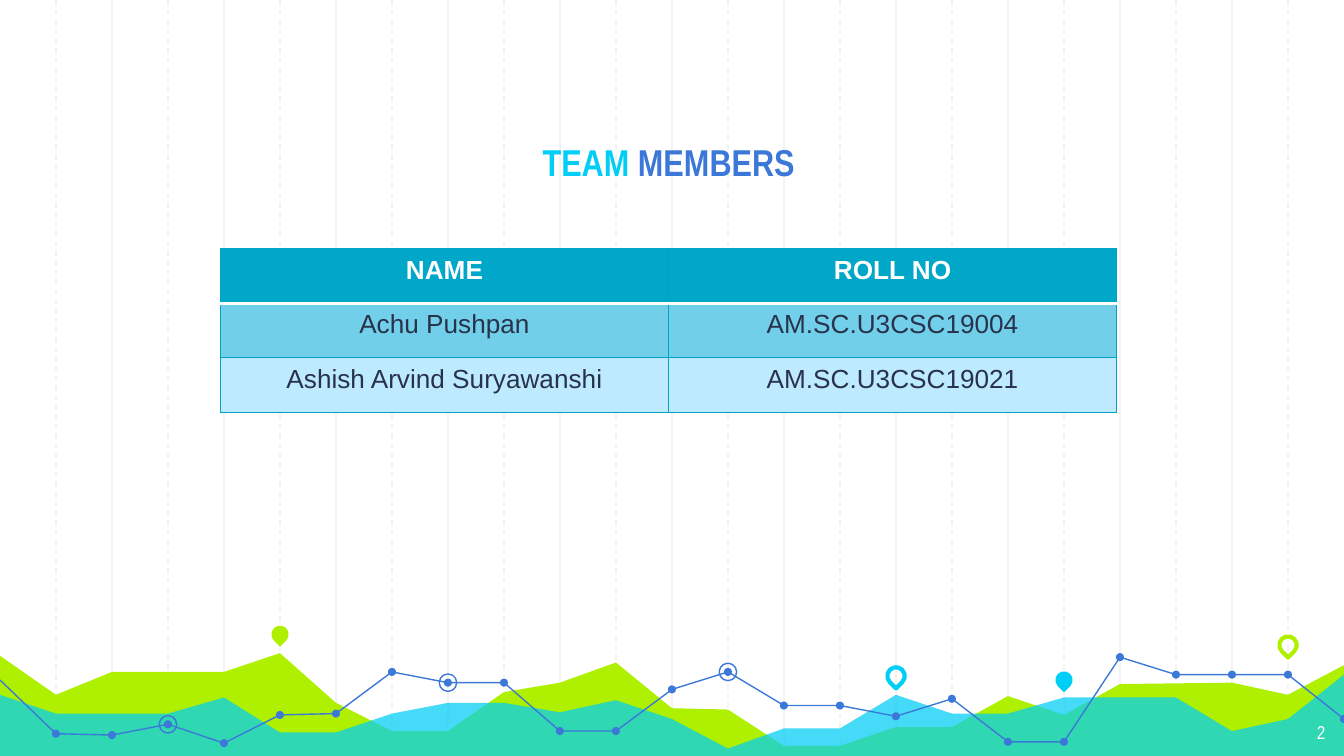
from dataclasses import dataclass
from typing import Optional

from lxml import etree
from pptx import Presentation
from pptx.dml.color import RGBColor
from pptx.enum.dml import MSO_LINE
from pptx.enum.shapes import MSO_CONNECTOR, MSO_SHAPE
from pptx.enum.text import MSO_ANCHOR, PP_ALIGN
from pptx.oxml.ns import qn
from pptx.util import Inches, Pt

STRAIGHT = MSO_CONNECTOR.STRAIGHT
OVAL, TEARDROP = MSO_SHAPE.OVAL, MSO_SHAPE.TEAR
DASH = MSO_LINE.DASH
BOTTOM = MSO_ANCHOR.BOTTOM
CENTER, RIGHT = PP_ALIGN.CENTER, PP_ALIGN.RIGHT

WHITE = RGBColor(0xFF, 0xFF, 0xFF)
GRID_GRAY = RGBColor(0xF3, 0xF3, 0xF3)
LIME = RGBColor(0xAF, 0xF0, 0x00)
CYAN = RGBColor(0x00, 0xCE, 0xF6)
BLUE = RGBColor(0x3C, 0x78, 0xD8)
INK = RGBColor(0x28, 0x32, 0x4A)
HEADER_TEAL = RGBColor(0x00, 0xA7, 0xC8)
BORDER_TEAL = RGBColor(0x00, 0xA3, 0xC4)
MID_TEAL = RGBColor(0x71, 0xCF, 0xE9)
PALE_TEAL = RGBColor(0xBD, 0xEA, 0xFF)

WIDTH = 10
HEIGHT = WIDTH * 9 / 16
COLUMNS = 24
STEP = WIDTH / COLUMNS
DOT, MARKER = 0.06, 0.13


@dataclass(frozen=True)
class Area:
    color: RGBColor
    heights: dict[int, float]
    opacity: Optional[int] = None


@dataclass(frozen=True)
class Pin:
    column: int
    y: float
    color: RGBColor
    hollow: bool


@dataclass(frozen=True)
class Row:
    texts: tuple[str, str]
    fill: RGBColor
    color: RGBColor
    bold: bool
    top: tuple[RGBColor, float]
    bottom: tuple[RGBColor, float]


AREAS = [
    Area(LIME, {0: 4.88, 1: 5.17, 2: 5, 4: 5, 5: 4.86, 6: 5.23, 7: 5.44, 8: 5.44,
                9: 5.15, 10: 5.08, 11: 4.93, 12: 5.27, 13: 5.28, 14: 5.55, 15: 5.55,
                16: 5.41, 17: 5.41, 18: 5.18, 19: 5.32, 20: 5.09, 22: 5.08,
                23: 5.17, 24: 4.95}),
    Area(CYAN, {0: 5.17, 1: 5.31, 3: 5.31, 4: 5.19, 5: 5.45, 6: 5.45, 7: 5.31,
                8: 5.23, 9: 5.23, 10: 5.3, 11: 5.21, 12: 5.35, 13: 5.57, 14: 5.42,
                15: 5.42, 16: 5.17, 17: 5.31, 18: 5.31, 19: 5.19, 21: 5.19,
                22: 5.44, 23: 5.35, 24: 5.02}, 73),
]
TREND = [5.06, 5.46, 5.47, 5.39, 5.53, 5.32, 5.31, 5, 5.08, 5.08, 5.44, 5.44, 5.13,
         5, 5.25, 5.25, 5.33, 5.2, 5.52, 5.52, 4.89, 5.02, 5.02, 5.02, 5.35]
TREND_BREAKS = [0, 11, 20, 24]
RINGED_COLUMNS = [3, 8, 13]
PINS = [
    Pin(5, 4.72, LIME, False),
    Pin(16, 5.03, CYAN, True),
    Pin(19, 5.06, CYAN, False),
    Pin(23, 4.8, LIME, True),
]
THIN = (BORDER_TEAL, 0.75)
THICK = (WHITE, 2)
ROWS = [
    Row(("NAME", "ROLL NO"), HEADER_TEAL, WHITE, True, THIN, THICK),
    Row(("Achu Pushpan", "AM.SC.U3CSC19004"), MID_TEAL, INK, False, THICK, THIN),
    Row(("Ashish Arvind Suryawanshi", "AM.SC.U3CSC19021"), PALE_TEAL, INK, False,
        THIN, THIN),
]


def draw_gridline(shapes, column: int) -> None:
    x = Inches(column * STEP)
    gridline = shapes.add_connector(STRAIGHT, x, 0, x, Inches(HEIGHT))
    gridline.line.color.rgb = GRID_GRAY
    gridline.line.width = Pt(0.75)
    if column % 2:
        gridline.line.dash_style = DASH
    etree.SubElement(gridline._element.spPr, qn("a:effectLst"))


def draw_outline(shapes, points: list[tuple[float, float]], close: bool):
    corners = [(Inches(x), Inches(y)) for x, y in points]
    builder = shapes.build_freeform(*corners[0])
    builder.add_line_segments(corners[1:], close=close)
    outline = builder.convert_to_shape()
    outline.shadow.inherit = False
    return outline


def draw_area(shapes, area: Area) -> None:
    ridge = [(column * STEP, y) for column, y in area.heights.items()]
    shape = draw_outline(shapes, ridge + [(WIDTH, HEIGHT), (0, HEIGHT)], True)
    shape.fill.solid()
    shape.fill.fore_color.rgb = area.color
    shape.line.fill.background()
    if area.opacity is not None:
        color = shape._element.spPr.find(qn("a:solidFill"))[0]
        etree.SubElement(color, qn("a:alpha"), val=str(area.opacity * 1000))


def draw_trend(shapes, first: int, last: int) -> None:
    points = [(column * STEP, TREND[column]) for column in range(first, last + 1)]
    trend = draw_outline(shapes, points, False)
    trend.fill.background()
    trend.line.color.rgb = BLUE
    trend.line.width = Pt(0.75)


def draw_marker(shapes, kind, column: int, y: float, size: float, color: RGBColor,
                outline: Optional[float] = None):
    marker = shapes.add_shape(kind, Inches(column * STEP - size / 2),
                              Inches(y - size / 2), Inches(size), Inches(size))
    marker.shadow.inherit = False
    if outline is None:
        marker.fill.solid()
        marker.fill.fore_color.rgb = color
        marker.line.fill.background()
    else:
        marker.fill.background()
        marker.line.color.rgb = color
        marker.line.width = Pt(outline)
    return marker


def draw_pin(shapes, pin: Pin) -> None:
    marker = draw_marker(shapes, TEARDROP, pin.column, pin.y, MARKER, pin.color,
                         2.25 if pin.hollow else None)
    marker.rotation = 135


def set_border(cell, side: str, color: RGBColor, width: float) -> None:
    border = etree.SubElement(cell._tc.get_or_add_tcPr(), qn(f"a:{side}"),
                              w=str(Pt(width)))
    fill = etree.SubElement(border, qn("a:solidFill"))
    etree.SubElement(fill, qn("a:srgbClr"), val=str(color))


def fill_row(cells, row: Row) -> None:
    for cell, text in zip(cells, row.texts):
        borders = {"lnL": THIN, "lnR": THIN, "lnT": row.top, "lnB": row.bottom}
        for side, (color, width) in borders.items():
            set_border(cell, side, color, width)
        cell.fill.solid()
        cell.fill.fore_color.rgb = row.fill
        cell.text = text
        paragraph = cell.text_frame.paragraphs[0]
        paragraph.alignment = CENTER
        paragraph.font.name = "Arial"
        paragraph.font.size = Pt(14)
        paragraph.font.bold = row.bold
        paragraph.font.color.rgb = row.color


def set_margins(frame) -> None:
    frame.word_wrap = True
    frame.margin_left = frame.margin_right = Inches(0.1)
    frame.margin_top = frame.margin_bottom = Inches(0.1)


def write_title(shapes) -> None:
    title = shapes.title
    title.left, title.top = Inches(1.15), Inches(0.69)
    title.width, title.height = Inches(7.65), Inches(0.78)
    set_margins(title.text_frame)
    title.text_frame.vertical_anchor = BOTTOM
    heading = title.text_frame.paragraphs[0]
    heading.alignment = CENTER
    heading.font.name = "Arial Narrow"
    heading.font.size = Pt(20)
    heading.font.bold = True
    for text, color in (("TEAM ", CYAN), ("MEMBERS", BLUE)):
        word = heading.add_run()
        word.text = text
        word.font.color.rgb = color
    shapes._spTree.append(title._element)


def write_page_number(shapes) -> None:
    page = shapes.add_textbox(Inches(9.36), Inches(5.28), Inches(0.6), Inches(0.35))
    set_margins(page.text_frame)
    number = page.text_frame.paragraphs[0]
    number.text = "2"
    number.alignment = RIGHT
    number.font.name = "Arial Narrow"
    number.font.size = Pt(10)
    number.font.color.rgb = WHITE


def main() -> None:
    deck = Presentation()
    deck.slide_width, deck.slide_height = Inches(WIDTH), Inches(HEIGHT)
    shapes = deck.slides.add_slide(deck.slide_layouts[5]).shapes
    for column in range(1, COLUMNS):
        draw_gridline(shapes, column)
    for area in AREAS:
        draw_area(shapes, area)
    for first, last in zip(TREND_BREAKS, TREND_BREAKS[1:]):
        draw_trend(shapes, first, last)
    for column, y in enumerate(TREND[1:], start=1):
        draw_marker(shapes, OVAL, column, y, DOT, BLUE)
    for column in RINGED_COLUMNS:
        draw_marker(shapes, OVAL, column, TREND[column], MARKER, BLUE, 0.75)
    for pin in PINS:
        draw_pin(shapes, pin)
    write_title(shapes)
    write_page_number(shapes)
    members = shapes.add_table(len(ROWS), 2, Inches(1.64), Inches(1.85),
                               Inches(6.67), Inches(1.22)).table
    for cells, row in zip(members.rows, ROWS):
        fill_row(cells.cells, row)
    deck.save("out.pptx")


if __name__ == "__main__":
    main()
